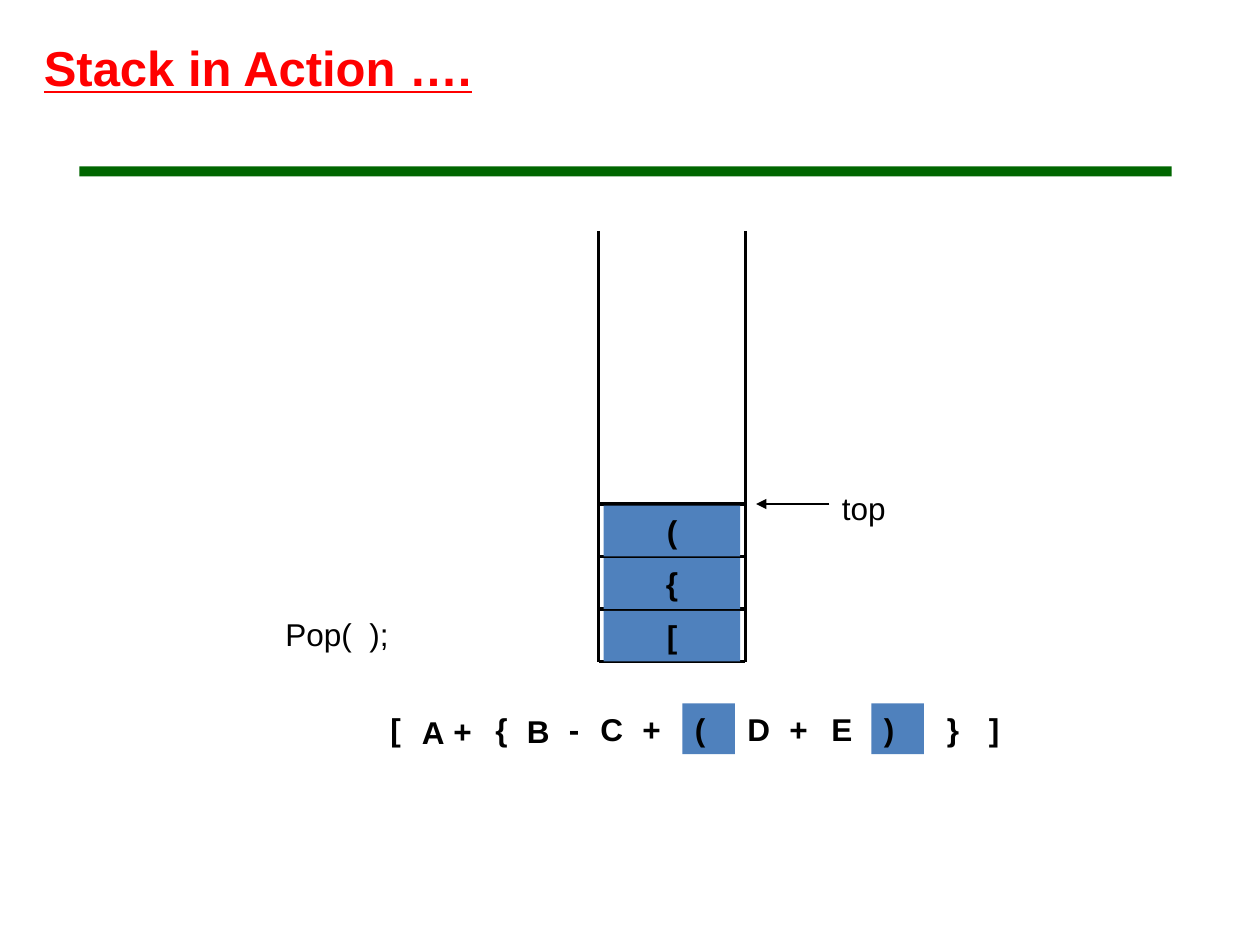
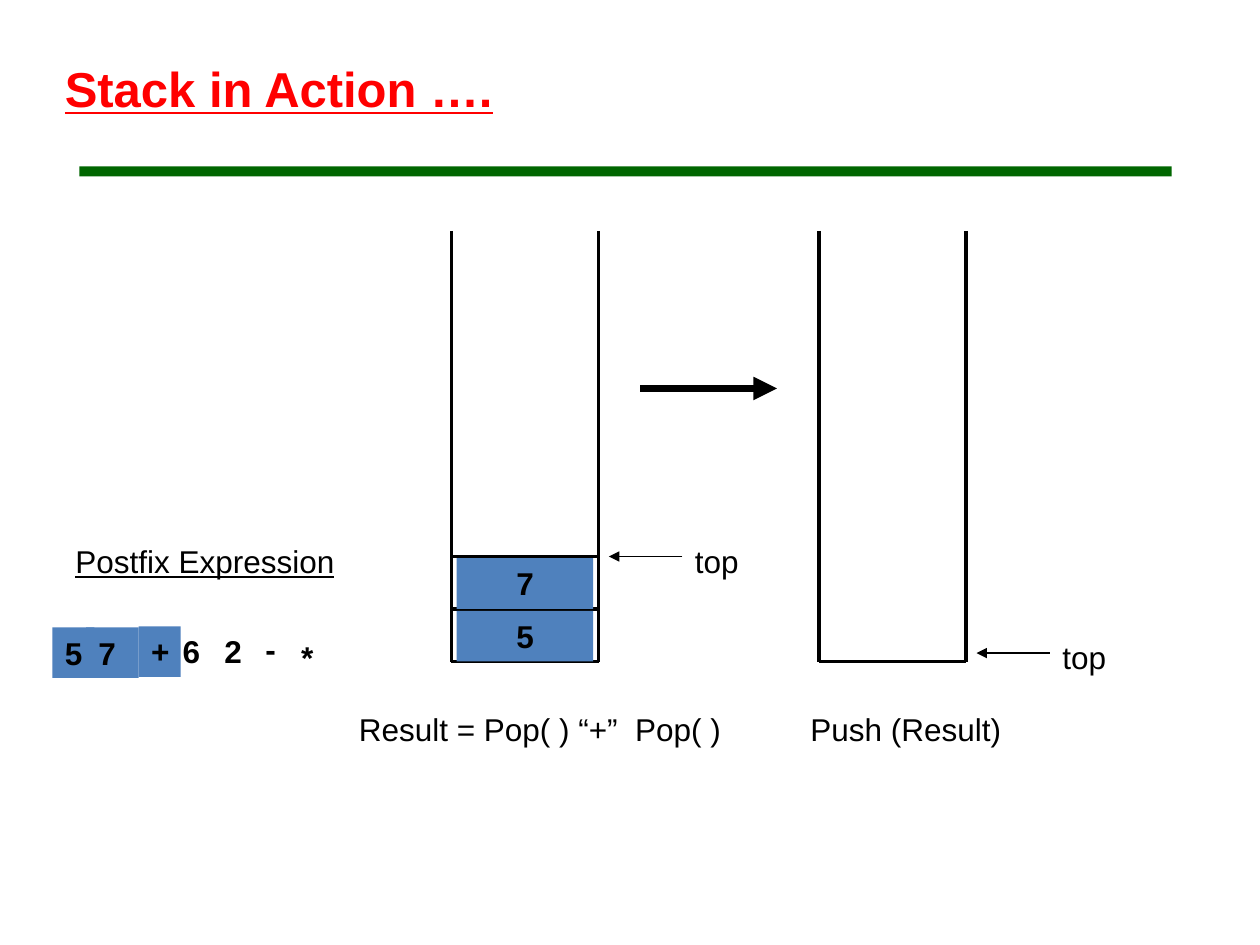
"""Build two slides that show a stack checking brackets and evaluating a postfix expression."""
from lxml.etree import SubElement
from pptx import Presentation
from pptx.dml.color import RGBColor
from pptx.enum.shapes import MSO_CONNECTOR, MSO_SHAPE
from pptx.enum.text import MSO_ANCHOR, PP_ALIGN
from pptx.oxml.ns import qn
from pptx.util import Inches, Pt

BLACK = RGBColor(0x00, 0x00, 0x00)
RED = RGBColor(0xFF, 0x00, 0x00)
GREEN = RGBColor(0x00, 0x66, 0x00)
BLUE = RGBColor(0x4F, 0x81, 0xBD)

FONT = "Arial"
CELL = Inches(10) / 120
LABEL_HEIGHT = 4.83
STACK_WIDTH, STACK_TOP, STACK_BOTTOM = 14, 22, 63
LEVEL = 5

deck = Presentation()
deck.slide_width, deck.slide_height = Inches(10), Inches(7.5)


def add_label(page, words, column, row, width, fill=None, bold=False, underline=False,
              size=18, color=BLACK, height=LABEL_HEIGHT, align=PP_ALIGN.LEFT):
    place = [round(length * CELL) for length in (column, row, width, height)]
    if fill is None:
        box = page.shapes.add_textbox(*place)
    else:
        box = page.shapes.add_shape(MSO_SHAPE.RECTANGLE, *place)
        box.shadow.inherit = False
        box.fill.solid()
        box.fill.fore_color.rgb = fill
        box.line.fill.background()
    frame = box.text_frame
    frame.word_wrap = True
    frame.vertical_anchor = MSO_ANCHOR.TOP
    para = frame.paragraphs[0]
    para.text = words
    para.alignment = align
    para.font.name, para.font.size = FONT, Pt(size)
    para.font.bold, para.font.underline = bold, underline
    para.font.color.rgb = color


def add_line(page, start, end, weight=2.25, arrow=False):
    ends = [round(length * CELL) for length in (*start, *end)]
    line = page.shapes.add_connector(MSO_CONNECTOR.STRAIGHT, *ends)
    line.line.color.rgb = BLACK
    line.line.width = Pt(weight)
    if arrow:
        SubElement(line.line._get_or_add_ln(), qn("a:tailEnd"), type="triangle")
    SubElement(line._element.spPr, qn("a:effectLst"))


pages = []
for title_corner in (3, 5):
    page = deck.slides.add_slide(deck.slide_layouts[6])
    band = page.shapes.add_shape(MSO_SHAPE.RECTANGLE, Inches(0.63), Inches(1.32),
                                 Inches(8.67), Inches(0.08))
    band.shadow.inherit = False
    band.fill.solid()
    band.fill.fore_color.rgb = GREEN
    band.line.fill.background()
    add_label(page, "Stack in Action ….", title_corner, title_corner, 79, bold=True,
              underline=True, size=28, color=RED, height=6.8)
    pages.append(page)
bracket_page, postfix_page = pages

stacks = [
    (bracket_page, 57, "[{(", 48),
    (postfix_page, 43, "57", 53),
    (postfix_page, 78, "", 62.2),
]
for page, left, symbols, marker_row in stacks:
    right = left + STACK_WIDTH
    for side in (left, right):
        add_line(page, (side, STACK_TOP), (side, STACK_BOTTOM))
    add_line(page, (left, STACK_BOTTOM), (right, STACK_BOTTOM))
    for depth, symbol in enumerate(symbols, start=1):
        row = STACK_BOTTOM - depth * LEVEL
        add_line(page, (left, row), (right, row))
        add_label(page, symbol, left + 0.5, row + 0.17, 13, BLUE, bold=True,
                  align=PP_ALIGN.CENTER)
    add_label(page, "top", right + 8, marker_row - 2, 18)
    add_line(page, (right + 8, marker_row), (right + 1, marker_row), 0.75, arrow=True)

bracket_symbols = [
    ("[", 36, 67, 4, None), ("A", 39, 67.3, 5, None), ("+", 42, 67.2, 4, None),
    ("{", 46, 67, 4, None), ("B", 49, 67.2, 5, None), ("-", 53, 67, 4, None),
    ("C", 56, 67, 5, None), ("+", 60, 67, 5, None), ("(", 65, 67, 5, BLUE),
    ("D", 70, 67, 5, None), ("+", 74, 67, 5, None), ("E", 78, 67, 5, None),
    (")", 83, 67, 5, BLUE), ("}", 89, 67, 5, None), ("]", 93, 67, 5, None),
]
postfix_symbols = [
    ("5", 5, 59.75, 4, BLUE), ("7", 8.2, 59.75, 5, BLUE), ("6", 16.2, 59.6, 4, None),
    ("2", 20.2, 59.6, 5, None), ("-", 24.1, 59.4, 4, None), ("*", 27.5, 60.2, 5, None),
    ("+", 13.2, 59.65, 4, BLUE),
]
for page, symbols in ((bracket_page, bracket_symbols), (postfix_page, postfix_symbols)):
    for symbol, column, row, width, fill in symbols:
        add_label(page, symbol, column, row, width, fill, bold=True)

add_label(bracket_page, "Pop(  );", 26, 58, 19)
add_label(postfix_page, "Postfix Expression", 6, 51, 33, underline=True)
add_label(postfix_page, "Result = Pop( ) “+”  Pop( )", 33, 67, 40)
add_label(postfix_page, "Push (Result)", 76, 67, 33)
add_line(postfix_page, (61, 37), (74, 37), 4.5, arrow=True)

deck.save("out.pptx")
